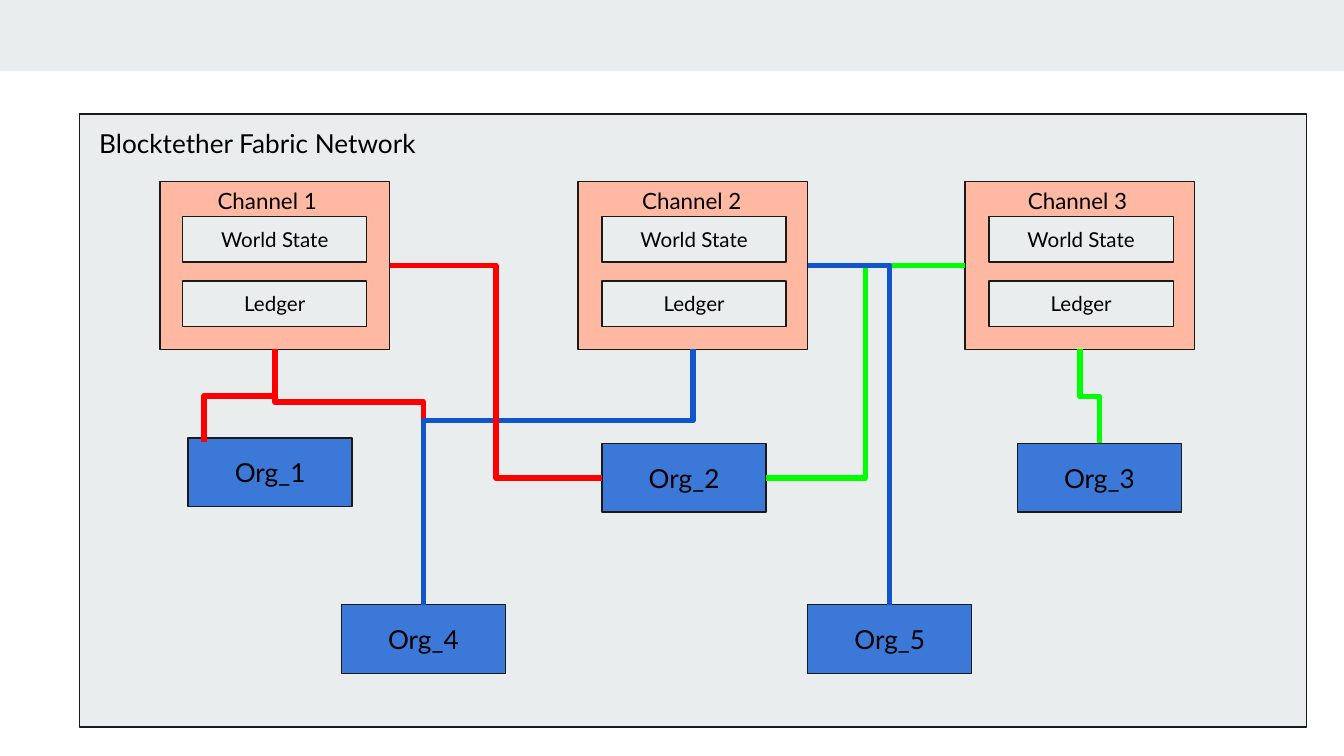
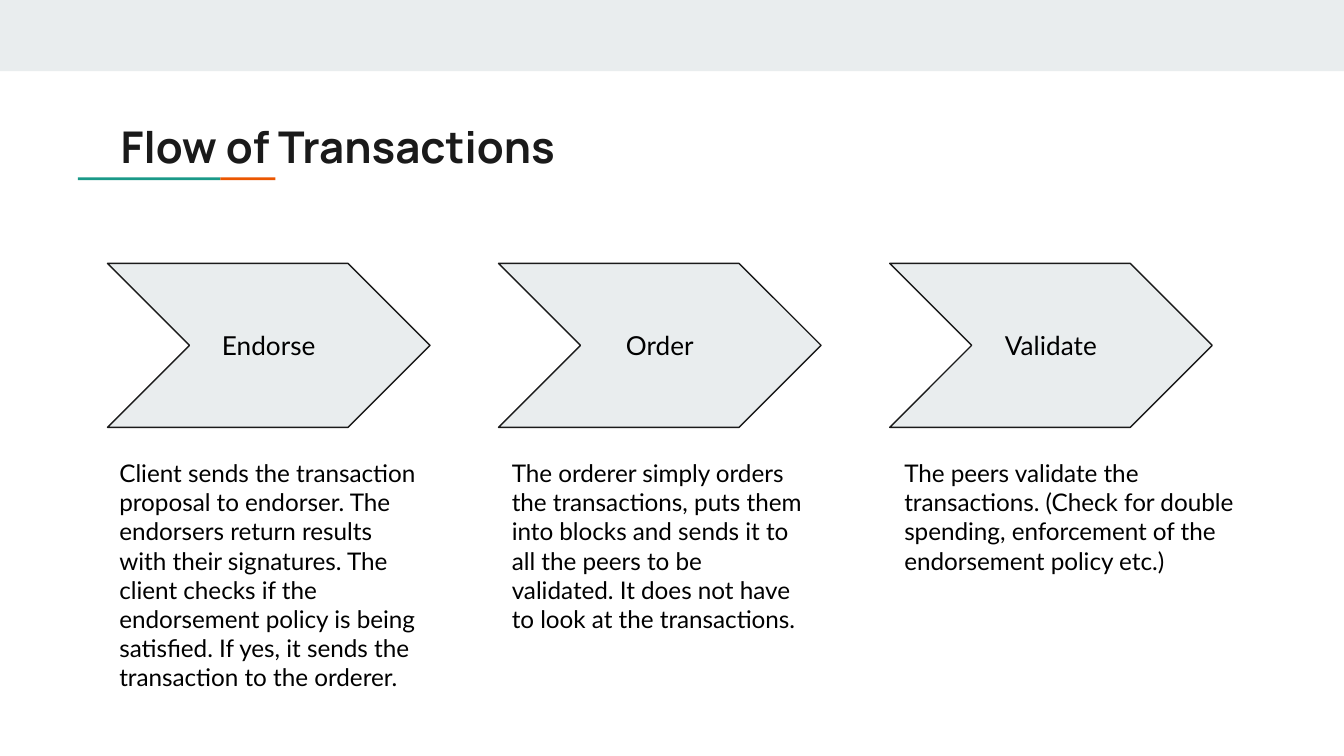
import pptx
import pptx.util
import pptx.dml.color
import pptx.enum.shapes
import pptx.enum.text
import pptx.oxml.ns
import lxml.etree

PX = 9144
W = 1000
BLACK, INK, PALE, WHITE = "000000", "1A1A1A", "E9EDEE", "FFFFFF"
PEACH, ORG_BLUE, TEAL, ORANGE = "FFB8A2", "3C78D8", "1A9988", "EB5600"
RED, BLUE, GREEN = "FF0000", "1155CC", "00FF00"
BODY, HEAD = "Lato", "Manrope"
MSO = pptx.enum.shapes.MSO_SHAPE
CENTER = pptx.enum.text.PP_ALIGN.CENTER
MIDDLE = pptx.enum.text.MSO_ANCHOR.MIDDLE
qn = pptx.oxml.ns.qn
TOP, LEFT, BOTTOM, RIGHT = range(4)

NETWORK = "Blocktether Fabric Network"
CHANNEL_TOP, CHANNEL_W, CHANNEL_H = 135, 171, 125
CHANNELS = [("Channel 1", 119, 136, 152), ("Channel 2", 430, 448, 468),
            ("Channel 3", 718, 736, 755)]
PARTS = ["World State", "Ledger"]
PART_DY, PART_STEP, PART_W, PART_H = 26, 48, 137, 34
ORG_W, ORG_H = 122, 51
ORGS = [("Org_1", 140, 326), ("Org_2", 448, 330), ("Org_3", 757, 330),
        ("Org_4", 254, 450), ("Org_5", 601, 450)]
ORG_1_ENTRY = (152, 329)
LINKS = [
    ("Channel 1", BOTTOM, "Org_4", TOP, RED, 0.205),
    ("Channel 1", BOTTOM, "Org_1", None, RED, 0.5),
    ("Channel 2", BOTTOM, "Org_4", TOP, BLUE, 0.279),
    ("Channel 1", RIGHT, "Org_2", LEFT, RED, 0.5),
    ("Org_2", RIGHT, "Channel 3", LEFT, GREEN, 0.5),
    ("Channel 2", RIGHT, "Org_5", TOP, BLUE, None),
    ("Channel 3", BOTTOM, "Org_3", TOP, GREEN, 0.5),
]

TITLE = "Flow of Transactions"
STEP_LEFT, STEP_PITCH, STEP_W = 80, 291, 240
TEXT_LEFT, TEXT_PITCH = 79, 292
STEPS = [
    ("Endorse", 240, "Client sends the transaction proposal to endorser. The endorsers return "
     "results with their signatures. The client checks if the endorsement policy is being "
     "satisfied. If yes, it sends the transaction to the orderer."),
    ("Order", 240, "The orderer simply orders the transactions, puts them into blocks and sends "
     "it to all the peers to be validated. It does not have to look at the transactions."),
    ("Validate", 271, "The peers validate the transactions. (Check for double spending, "
     "enforcement of the endorsement policy etc.)"),
]


def color(value):
    return pptx.dml.color.RGBColor.from_string(value)


def emu(*lengths):
    return [pptx.util.Emu(n * PX) for n in lengths]


def write(sp, text, size, font=BODY, ink=BLACK, bold=False, align=None, anchor=None):
    tf = sp.text_frame
    inset = pptx.util.Emu(10 * PX)
    frame = {"word_wrap": True, "margin_left": inset, "margin_top": inset,
             "margin_right": inset, "margin_bottom": inset}
    if anchor is not None:
        frame["vertical_anchor"] = anchor
    for name, value in frame.items():
        setattr(tf, name, value)
    p = tf.paragraphs[0]
    p.alignment = align
    r = p.add_run()
    r.text = text
    for name, value in {"name": font, "size": pptx.util.Pt(size), "bold": bold}.items():
        setattr(r.font, name, value)
    r.font.color.rgb = color(ink)


def add_box(s, at, fill, text=None, size=14, line=INK, kind=MSO.RECTANGLE):
    sp = s.shapes.add_shape(kind, *emu(*at))
    sp.shadow.inherit = False
    sp.fill.solid()
    sp.fill.fore_color.rgb = color(fill)
    if line:
        sp.line.color.rgb = color(line)
        sp.line.width = pptx.util.Pt(0.75)
    else:
        sp.line.fill.background()
    if text:
        write(sp, text, size, align=CENTER, anchor=MIDDLE)
    return sp


def add_text(s, at, text, size, **look):
    write(s.shapes.add_textbox(*emu(*at)), text, size, **look)


def turn_down(c):
    x1, y1, x2, y2 = c.begin_x, c.begin_y, c.end_x, c.end_y
    w, h = abs(y2 - y1), abs(x2 - x1)
    rightward = x2 > x1
    place = {"left": (x1 + x2 - w) // 2, "top": (y1 + y2 - h) // 2,
             "width": w, "height": h, "rotation": 270 if rightward else 90}
    for name, value in place.items():
        setattr(c, name, value)
    c._element.spPr.find(qn("a:xfrm")).set("flipH", "1" if rightward else "0")


def add_link(s, start, start_site, end, end_site, ink, bend):
    c = s.shapes.add_connector(pptx.enum.shapes.MSO_CONNECTOR.ELBOW, 0, 0, *emu(*ORG_1_ENTRY))
    c.begin_connect(start, start_site)
    if end_site is not None:
        c.end_connect(end, end_site)
    else:
        c.end_x, c.end_y = emu(*ORG_1_ENTRY)
    if start_site == BOTTOM:
        turn_down(c)
    c.line.color.rgb = color(ink)
    c.line.width = pptx.util.Pt(3)
    spPr = c._element.spPr
    geom = spPr.find(qn("a:prstGeom"))
    if bend is None:
        geom.set("prst", "bentConnector2")
    else:
        guides = geom.find(qn("a:avLst"))
        lxml.etree.SubElement(guides, qn("a:gd"), name="adj1", fmla=f"val {round(bend * 100000)}")
    lxml.etree.SubElement(spPr, qn("a:effectLst"))


def add_slide(prs):
    s = prs.slides.add_slide(prs.slide_layouts[6])
    s.background.fill.solid()
    s.background.fill.fore_color.rgb = color(WHITE)
    add_box(s, (0, 0, W, 53), PALE, line=None)
    return s


def build_network(prs):
    s = add_slide(prs)
    add_box(s, (59, 85, 913, 456), PALE)
    add_text(s, (64, 85, 477, 44), NETWORK, 14)
    nodes = {}
    for name, x, part_x, label_x in CHANNELS:
        nodes[name] = add_box(s, (x, CHANNEL_TOP, CHANNEL_W, CHANNEL_H), PEACH)
        for i, part in enumerate(PARTS):
            y = CHANNEL_TOP + PART_DY + i * PART_STEP
            add_box(s, (part_x, y, PART_W, PART_H), PALE, part, 11)
        add_text(s, (label_x, 129, 98, 40), name, 12)
    for name, x, y in ORGS:
        nodes[name] = add_box(s, (x, y, ORG_W, ORG_H), ORG_BLUE, name)
    for start, start_site, end, end_site, ink, bend in LINKS:
        add_link(s, nodes[start], start_site, nodes[end], end_site, ink, bend)


def build_flow(prs):
    s = add_slide(prs)
    for x, w, fill in [(58, 106, TEAL), (164, 41, ORANGE)]:
        add_box(s, (x, 132, w, 2), fill, line=None)
    add_text(s, (80, 79, 841, 59), TITLE, 23.4, font=HEAD, ink=INK, bold=True)
    for i, (name, text_w, text) in enumerate(STEPS):
        add_box(s, (STEP_LEFT + i * STEP_PITCH, 196, STEP_W, 122), PALE, name, kind=MSO.CHEVRON)
        add_text(s, (TEXT_LEFT + i * TEXT_PITCH, 331, text_w, 208), text, 13)


def main():
    prs = pptx.Presentation()
    prs.slide_width = pptx.util.Emu(W * PX)
    prs.slide_height = pptx.util.Emu(W * PX * 9 // 16)
    build_network(prs)
    build_flow(prs)
    prs.save("out.pptx")


if __name__ == "__main__":
    main()
